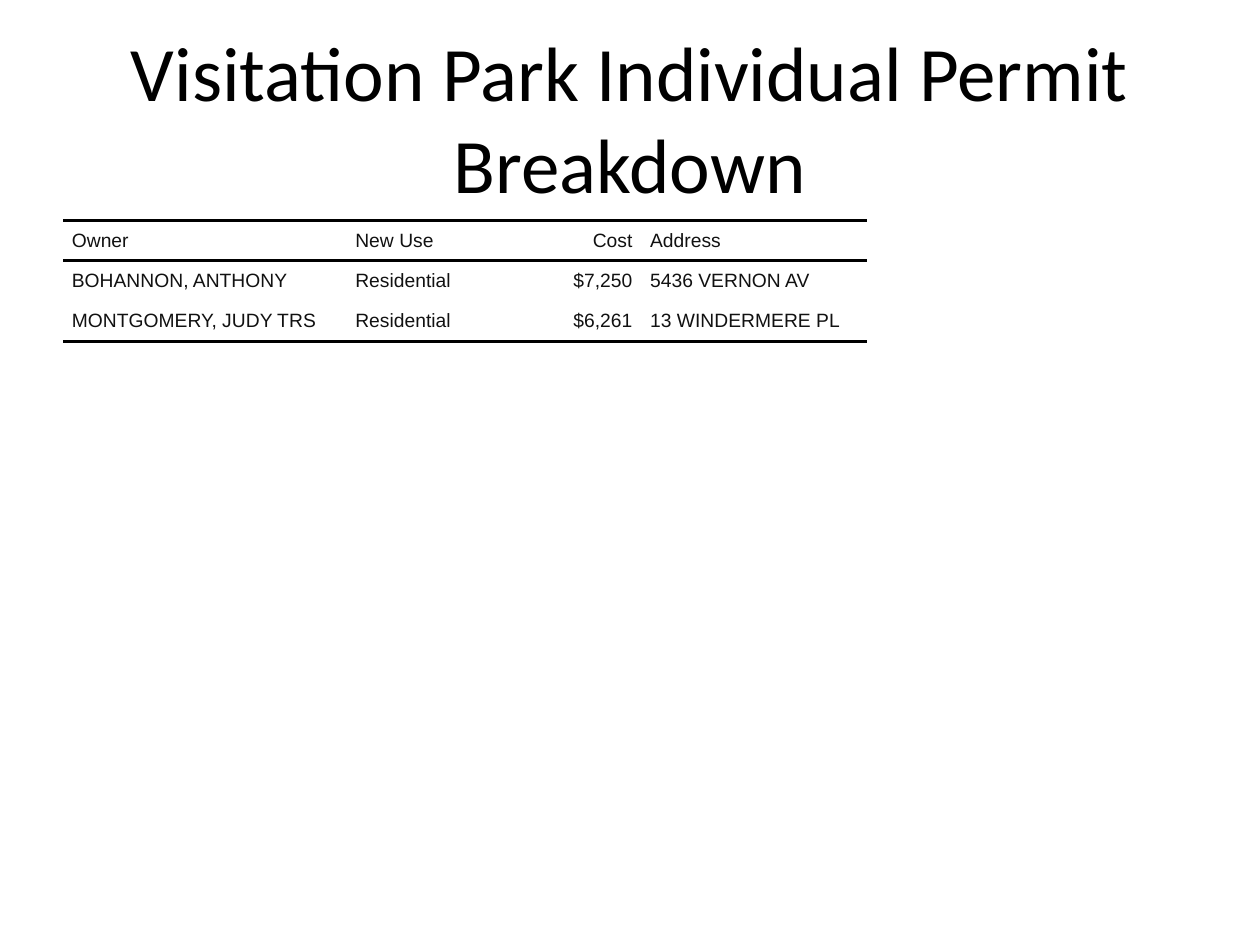
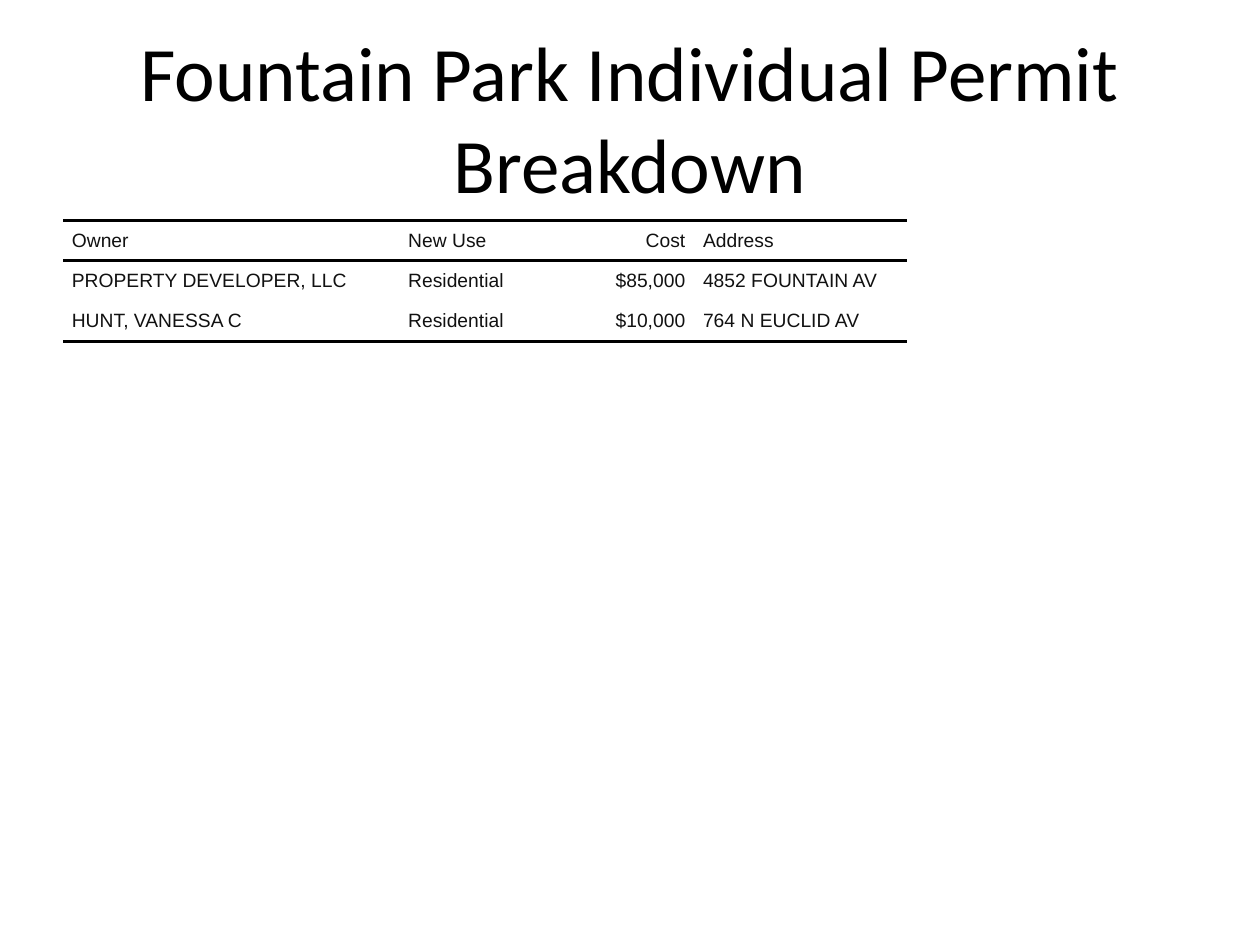
from dataclasses import dataclass

from lxml.etree import SubElement
from pptx import Presentation
from pptx.dml.color import RGBColor
from pptx.enum.text import MSO_ANCHOR, MSO_AUTO_SIZE, PP_ALIGN
from pptx.oxml.ns import qn
from pptx.util import Inches, Pt

HEADINGS = ("Owner", "New Use", "Cost", "Address")
COST_COLUMN = HEADINGS.index("Cost")

PARKS = [
    {
        "name": "Visitation Park",
        "widths": (2.25, 1.04, 1.3, 1.79),
        "permits": [
            ("BOHANNON, ANTHONY", "Residential", "$7,250", "5436 VERNON AV"),
            ("MONTGOMERY, JUDY TRS", "Residential", "$6,261", "13 WINDERMERE PL"),
        ],
    },
    {
        "name": "Fountain Park",
        "widths": (2.67, 1.04, 1.3, 1.69),
        "permits": [
            ("PROPERTY DEVELOPER, LLC", "Residential", "$85,000", "4852 FOUNTAIN AV"),
            ("HUNT, VANESSA C", "Residential", "$10,000", "764 N EUCLID AV"),
        ],
    },
]


@dataclass(frozen=True)
class Theme:
    title_font: str = "Calibri"
    title_size: int = 44
    title_color: str = "000000"
    cell_font: str = "Arial"
    cell_size: int = 11
    cell_color: str = "111111"
    rule_color: str = "000000"
    rule_width: int = 2
    cell_spacing: int = 2
    cell_indent: float = 0.07
    row_height: float = 0.32


THEME = Theme()
TITLE_BOX = [Inches(value) for value in (0.5, 0.3, 9, 1.25)]
TABLE_BOX = [Inches(value) for value in (0.5, 1.75, 9, 4.95)]


def add_run(paragraph, text, font_name, size, color):
    run = paragraph.add_run()
    run.text = text
    run.font.name = font_name
    run.font.size = Pt(size)
    run.font.color.rgb = RGBColor.from_string(color)


def add_title(slide, text):
    title = slide.shapes.title
    title.left, title.top, title.width, title.height = TITLE_BOX
    frame = title.text_frame
    frame.word_wrap = True
    frame.auto_size = MSO_AUTO_SIZE.NONE
    frame.vertical_anchor = MSO_ANCHOR.MIDDLE
    paragraph = frame.paragraphs[0]
    paragraph.alignment = PP_ALIGN.CENTER
    add_run(paragraph, text, THEME.title_font, THEME.title_size, THEME.title_color)


def set_borders(cell, ruled_edges):
    properties = cell._tc.get_or_add_tcPr()
    for position, edge in enumerate("LRTB"):
        line = SubElement(properties, qn(f"a:ln{edge}"))
        properties.insert(position, line)
        if edge in ruled_edges:
            line.set("w", str(Pt(THEME.rule_width)))
            fill = SubElement(line, qn("a:solidFill"))
            SubElement(fill, qn("a:srgbClr")).set("val", THEME.rule_color)
        else:
            SubElement(line, qn("a:noFill"))


def fill_cell(cell, text, alignment, ruled_edges):
    cell.margin_left = cell.margin_right = cell.margin_top = cell.margin_bottom = 0
    cell.vertical_anchor = MSO_ANCHOR.MIDDLE
    cell.fill.background()
    set_borders(cell, ruled_edges)
    paragraph = cell.text_frame.paragraphs[0]
    paragraph.alignment = alignment
    paragraph.space_before = paragraph.space_after = Pt(THEME.cell_spacing)
    paragraph_properties = paragraph._p.get_or_add_pPr()
    for side in ("marL", "marR"):
        paragraph_properties.set(side, str(Inches(THEME.cell_indent)))
    add_run(paragraph, text, THEME.cell_font, THEME.cell_size, THEME.cell_color)


def add_permit_table(slide, widths, permits):
    rows = [HEADINGS, *permits]
    frame = slide.shapes.add_table(len(rows), len(HEADINGS), *TABLE_BOX)
    table = frame.table
    table.first_row = table.horz_banding = False
    for column, width in zip(table.columns, widths):
        column.width = Inches(width)
    for row in table.rows:
        row.height = Inches(THEME.row_height)
    frame.width, frame.height = TABLE_BOX[2:]

    last_row = len(rows) - 1
    for row_index, values in enumerate(rows):
        ruled_edges = ("T" if row_index <= 1 else "") + ("B" if row_index in (0, last_row) else "")
        for column_index, text in enumerate(values):
            alignment = PP_ALIGN.RIGHT if column_index == COST_COLUMN else PP_ALIGN.LEFT
            fill_cell(table.cell(row_index, column_index), text, alignment, ruled_edges)


def main():
    presentation = Presentation()
    presentation.slide_width = Inches(10)
    presentation.slide_height = Inches(7.5)
    title_only = presentation.slide_layouts.get_by_name("Title Only")
    for park in PARKS:
        slide = presentation.slides.add_slide(title_only)
        add_title(slide, f"{park['name']} Individual Permit Breakdown")
        add_permit_table(slide, park["widths"], park["permits"])
    presentation.save("out.pptx")


if __name__ == "__main__":
    main()
